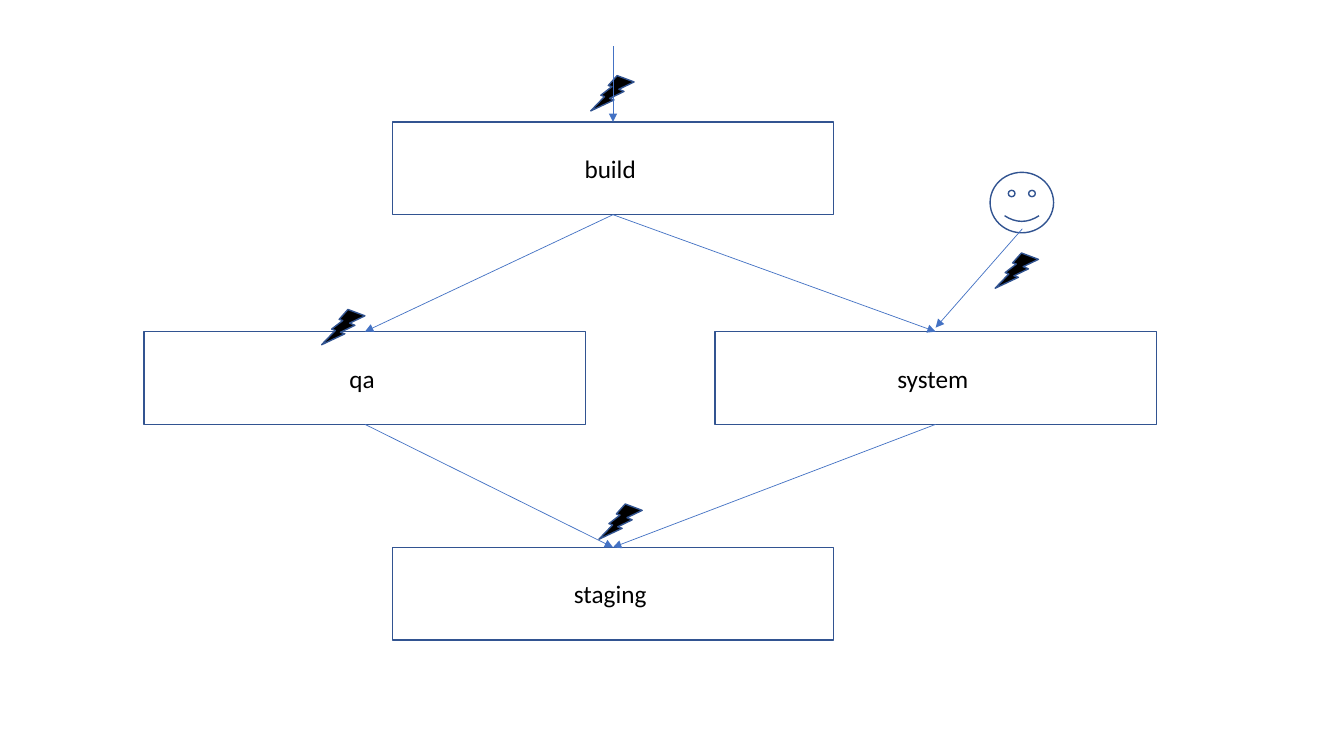
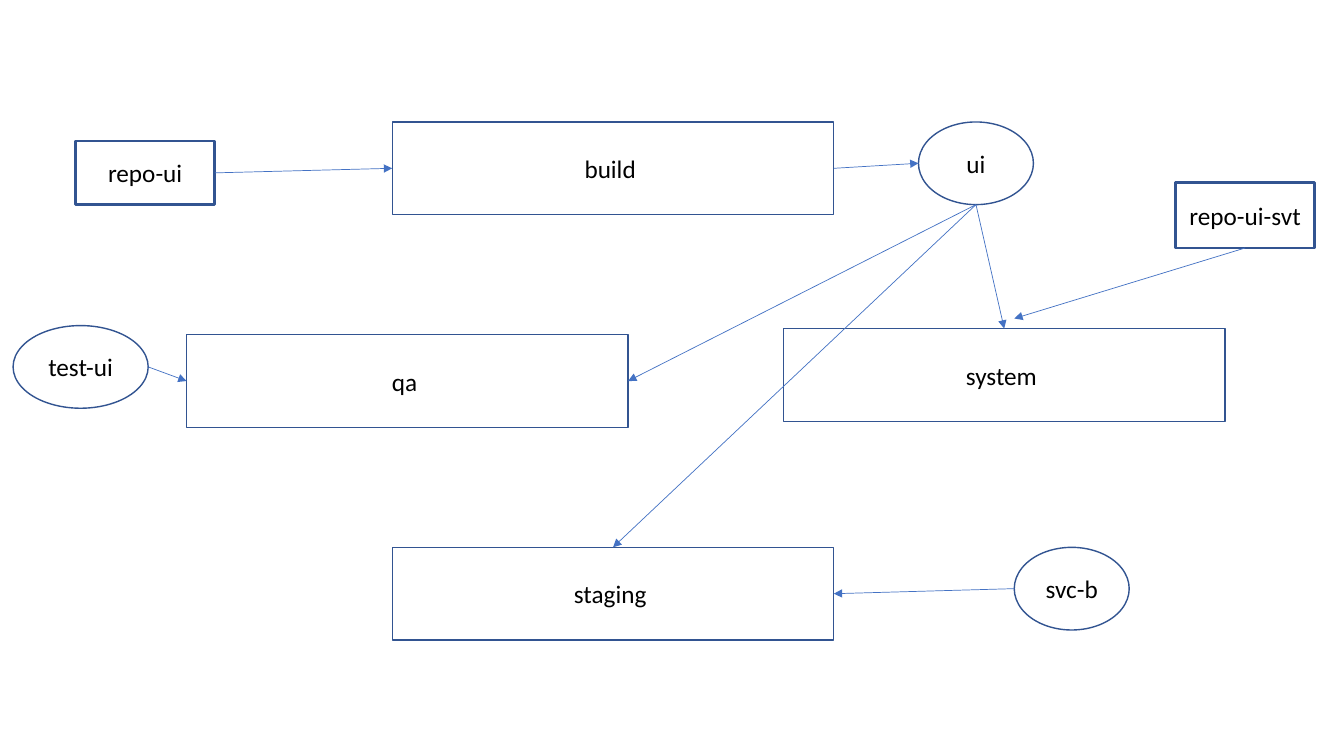
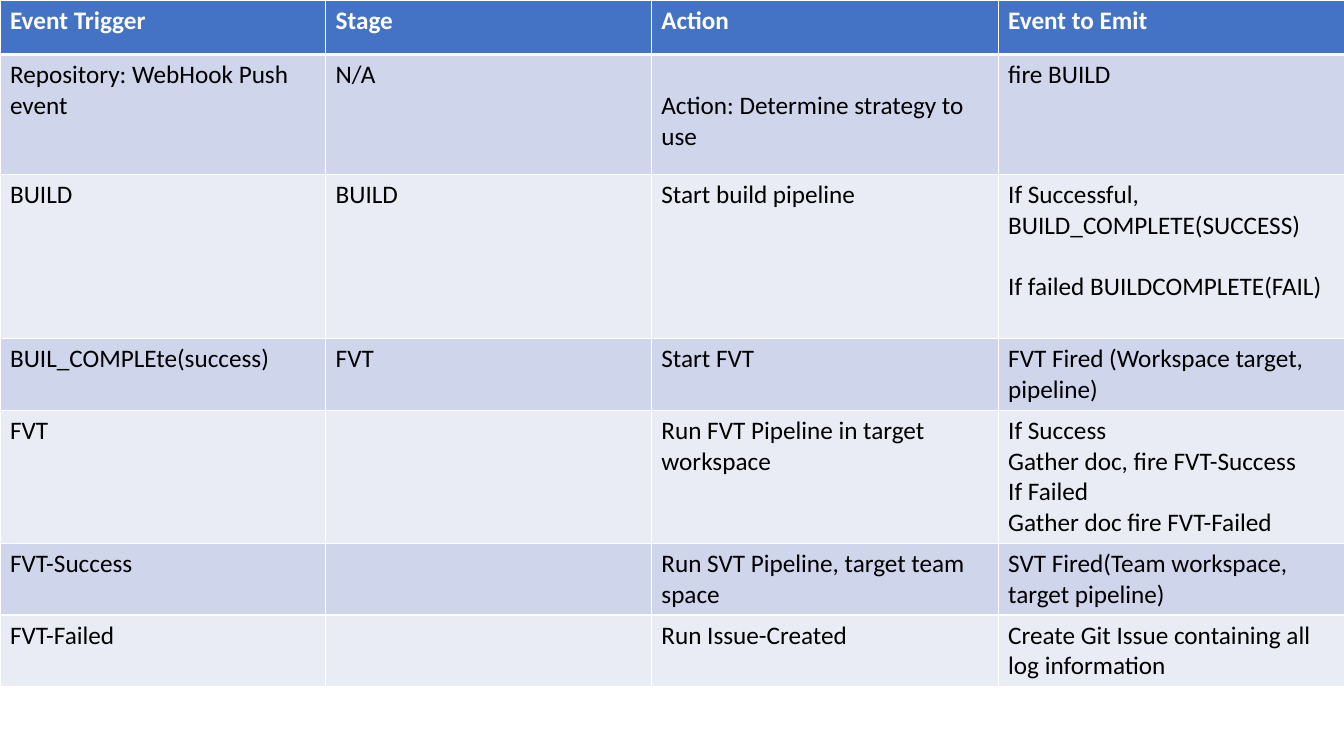
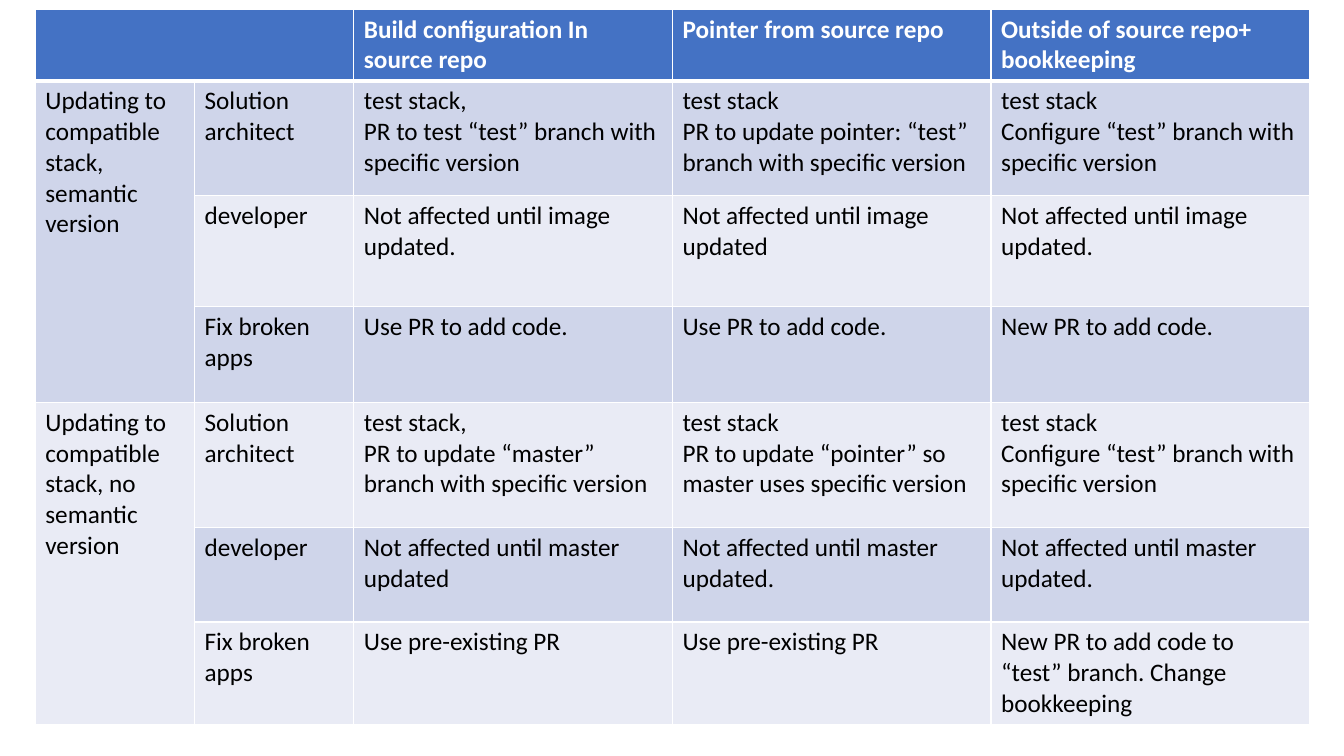
from dataclasses import dataclass

from lxml import etree
from pptx import Presentation
from pptx.dml.color import RGBColor
from pptx.enum.shapes import MSO_CONNECTOR, MSO_SHAPE
from pptx.enum.text import MSO_ANCHOR, PP_ALIGN
from pptx.oxml.ns import qn
from pptx.util import Inches, Pt

RECT = MSO_SHAPE.RECTANGLE
OVAL = MSO_SHAPE.OVAL
BOLT = MSO_SHAPE.LIGHTNING_BOLT
SMILEY = MSO_SHAPE.SMILEY_FACE
STRAIGHT = MSO_CONNECTOR.STRAIGHT
MIDDLE = MSO_ANCHOR.MIDDLE
CENTER = PP_ALIGN.CENTER

STAGE_W, STAGE_H = 4.38, 0.92
BLANK_LINE = 22  # points


@dataclass(frozen=True)
class Theme:
    """Colours, font and sizes shared by all slides."""
    font: str = "Calibri"
    size: int = 18
    text: str = "000000"
    white: str = "FFFFFF"
    outline: str = "325491"
    accent: str = "4472C4"
    bands: tuple = ("E9EBF5", "CFD5EA")
    outline_w: float = 1
    heavy_w: float = 2
    arrow_w: float = 0.5
    grid_w: float = 1
    header_rule_w: float = 3


def rgb(value):
    """Turn a hex string into a colour."""
    return RGBColor.from_string(value)


def edge(sp, side):
    """Return the middle of one side of a shape, in inches."""
    x, y = sp.left.inches, sp.top.inches
    w, h = sp.width.inches, sp.height.inches
    return {"top": (x + w / 2, y), "bottom": (x + w / 2, y + h),
            "left": (x, y + h / 2), "right": (x + w, y + h / 2)}[side]


class Deck:
    """Holds the style and the current slide."""

    def __init__(self, theme):
        self.theme = theme
        self.prs = Presentation()
        self.prs.slide_width = Inches(13.33)
        self.prs.slide_height = Inches(7.5)
        self.slide = None

    def new_slide(self):
        """Start a blank slide."""
        self.slide = self.prs.slides.add_slide(self.prs.slide_layouts[6])

    def run(self, p, text, color, bold=False):
        """Add one styled run to a paragraph."""
        r = p.add_run()
        r.text = text
        r.font.name = self.theme.font
        r.font.size = Pt(self.theme.size)
        r.font.bold = bold
        r.font.color.rgb = rgb(color)

    def shape(self, kind, x, y, w, h, text="", weight=None, fill=None):
        """Draw an outlined shape with optional centred text."""
        sp = self.slide.shapes.add_shape(
            kind, Inches(x), Inches(y), Inches(w), Inches(h))
        sp.shadow.inherit = False
        if fill:
            sp.fill.solid()
            sp.fill.fore_color.rgb = rgb(fill)
        else:
            sp.fill.background()
        sp.line.color.rgb = rgb(self.theme.outline)
        sp.line.width = Pt(weight or self.theme.outline_w)
        if text:
            tf = sp.text_frame
            tf.word_wrap = True
            tf.vertical_anchor = MIDDLE
            p = tf.paragraphs[0]
            p.alignment = CENTER
            self.run(p, text, self.theme.text)
        return sp

    def stage(self, x, y, text):
        """Draw a pipeline stage box."""
        return self.shape(RECT, x, y, STAGE_W, STAGE_H, text)

    def repo(self, x, y, h, text):
        """Draw a repository box with a heavy outline."""
        return self.shape(RECT, x, y, 1.38, h, text, self.theme.heavy_w)

    def service(self, x, y, text, w=1.14):
        """Draw a service ellipse."""
        return self.shape(OVAL, x, y, w, 0.82, text)

    def bolt(self, x, y):
        """Draw a mirrored lightning bolt that marks a trigger."""
        sp = self.shape(BOLT, x, y, 0.43, 0.35, fill=self.theme.text)
        sp._element.spPr.find(qn("a:xfrm")).set("flipH", "1")

    def arrow(self, start, end):
        """Draw a thin arrow between two points."""
        cx = self.slide.shapes.add_connector(
            STRAIGHT, *(Inches(v) for v in (*start, *end)))
        cx.line.color.rgb = rgb(self.theme.accent)
        cx.line.width = Pt(self.theme.arrow_w)
        etree.SubElement(cx.line._get_or_add_ln(), qn("a:tailEnd"),
                         type="triangle")
        etree.SubElement(cx._element.spPr, qn("a:effectLst"))

    def borders(self, cell, top, bottom):
        """Give a cell white borders; top and bottom are line widths."""
        tc_pr = cell._tc.get_or_add_tcPr()
        widths = {"L": self.theme.grid_w, "R": self.theme.grid_w,
                  "T": top, "B": bottom}
        for i, (side, width) in enumerate(widths.items()):
            ln = etree.Element(qn(f"a:ln{side}"), w=str(Pt(width)))
            fill = etree.SubElement(ln, qn("a:solidFill"))
            etree.SubElement(fill, qn("a:srgbClr"), val=self.theme.white)
            tc_pr.insert(i, ln)

    def cell_text(self, cell, text, color, bold):
        """Write one paragraph per line; an empty line becomes spacing."""
        tf = cell.text_frame
        gap, started = 0, False
        for line in text.split("\n"):
            if not line:
                gap = BLANK_LINE
                continue
            p = tf.add_paragraph() if started else tf.paragraphs[0]
            if gap and started:
                p.space_before = Pt(gap)
            elif gap:
                cell.margin_top = Inches(0.05) + Pt(gap)
            self.run(p, line, color, bold)
            gap, started = 0, True

    def table(self, x, y, cols, heights, rows, merges=()):
        """Draw a banded table with a header row."""
        th = self.theme
        tbl = self.slide.shapes.add_table(
            len(rows), len(cols), Inches(x), Inches(y),
            Inches(sum(cols)), Inches(sum(heights))).table
        tbl.horz_banding = False
        for col, width in zip(tbl.columns, cols):
            col.width = Inches(width)
        for row, height in zip(tbl.rows, heights):
            row.height = Inches(height)
        for i, texts in enumerate(rows):
            header = i == 0
            for j, text in enumerate(texts):
                cell = tbl.cell(i, j)
                cell.fill.solid()
                cell.fill.fore_color.rgb = rgb(
                    th.accent if header else th.bands[i % 2])
                self.borders(cell,
                             th.header_rule_w if i == 1 else th.grid_w,
                             th.header_rule_w if header else th.grid_w)
                self.cell_text(cell, text,
                               th.white if header else th.text, header)
        for first, last in merges:
            tbl.cell(*first).merge(tbl.cell(*last))


def pipeline_slide(deck):
    """Stages of the pipeline and what triggers them."""
    deck.new_slide()
    build = deck.stage(3.89, 1.21, "build ")
    qa = deck.stage(1.43, 3.29, "qa ")
    system = deck.stage(7.09, 3.29, "system ")
    staging = deck.stage(3.89, 5.43, "staging ")
    for source, target in ((build, qa), (qa, staging),
                           (system, staging), (build, system)):
        deck.arrow(edge(source, "bottom"), edge(target, "top"))
    for x, y in ((3.19, 3.07), (5.94, 5), (9.87, 2.51), (5.86, 0.75)):
        deck.bolt(x, y)
    deck.shape(SMILEY, 9.82, 1.71, 0.63, 0.6)
    deck.arrow((10.14, 2.27), (9.28, 3.25))
    deck.arrow((6.08, 0.46), edge(build, "top"))


def services_slide(deck):
    """Repositories and services around the stages."""
    deck.new_slide()
    build = deck.stage(3.89, 1.21, "build ")
    qa = deck.stage(1.85, 3.32, "qa ")
    system = deck.stage(7.77, 3.26, "system ")
    staging = deck.stage(3.89, 5.43, "staging ")
    ui = deck.service(9.11, 1.21, "ui")
    repo_ui = deck.repo(0.75, 1.4, 0.63, "repo-ui")
    repo_svt = deck.repo(11.66, 1.81, 0.65, "repo-ui-svt")
    svc_b = deck.service(10.06, 5.43, "svc-b")
    test_ui = deck.service(0.13, 3.23, "test-ui", w=1.34)
    for source, out, target, into in (
            (build, "right", ui, "left"),
            (ui, "bottom", qa, "right"),
            (ui, "bottom", system, "top"),
            (ui, "bottom", staging, "top"),
            (repo_ui, "right", build, "left"),
            (svc_b, "left", staging, "right"),
            (test_ui, "right", qa, "left")):
        deck.arrow(edge(source, out), edge(target, into))
    deck.arrow(edge(repo_svt, "bottom"), (10.06, 3.16))


def events_slide(deck):
    """Table of events, actions and emitted events."""
    deck.new_slide()
    deck.table(
        0, 0, [3.23, 3.23, 3.44, 3.44],
        [0.54, 1.19, 1.63, 0.68, 1.26, 0.68, 0.68],
        [("Event Trigger", "Stage", "Action", "Event to Emit"),
         ("Repository: WebHook Push event", "N/A",
          "\nAction: Determine strategy to use ", "fire BUILD"),
         ("BUILD", "BUILD", "Start build pipeline",
          "If Successful, BUILD_COMPLETE(SUCCESS)\n\n"
          "If failed BUILDCOMPLETE(FAIL)"),
         ("BUIL_COMPLEte(success)", "FVT", "Start FVT ",
          "FVT Fired (Workspace target, pipeline)"),
         ("FVT", "", "Run FVT Pipeline in target workspace",
          "If Success\nGather doc, fire FVT-Success\n"
          "If Failed\nGather doc fire FVT-Failed"),
         ("FVT-Success", "", "Run SVT Pipeline, target team space",
          "SVT Fired(Team workspace, target pipeline)"),
         ("FVT-Failed", "", "Run Issue-Created",
          "Create Git Issue containing all log information")])


def updates_slide(deck):
    """Table comparing where the build configuration lives."""
    deck.new_slide()
    configure = "test stack\nConfigure “test” branch with specific version"
    deck.table(
        0.35, 0.09, [1.58, 1.58, 3.16, 3.16, 3.16],
        [0.67, 1.14, 1.1, 0.95, 1.24, 0.94, 0.94],
        [("", "", "Build configuration In source repo",
          "Pointer from source repo", "Outside of source repo+ bookkeeping"),
         ("Updating to compatible stack, semantic version",
          "Solution architect",
          "test stack,\nPR to test “test” branch with specific version",
          "test stack\nPR to update pointer: “test” branch with specific "
          "version", configure),
         ("", "developer", "Not affected until image updated.",
          "Not affected until image updated",
          "Not affected until image updated."),
         ("", "Fix broken apps", "Use PR to add code.",
          "Use PR to add code.", "New PR to add code."),
         ("Updating to compatible stack, no semantic version",
          "Solution architect",
          "test stack,\nPR to update “master” branch with specific version",
          "test stack\nPR to update “pointer” so master uses specific "
          "version", configure),
         ("", "developer", "Not affected until master updated",
          "Not affected until master updated.",
          "Not affected until master updated."),
         ("", "Fix broken apps", "Use pre-existing PR",
          "Use pre-existing PR",
          "New PR to add code to “test” branch. Change bookkeeping")],
        merges=[((0, 0), (0, 1)), ((1, 0), (3, 0)), ((4, 0), (6, 0))])


def main():
    """Build the four slides and save them."""
    deck = Deck(Theme())
    pipeline_slide(deck)
    services_slide(deck)
    events_slide(deck)
    updates_slide(deck)
    deck.prs.save("out.pptx")


main()
